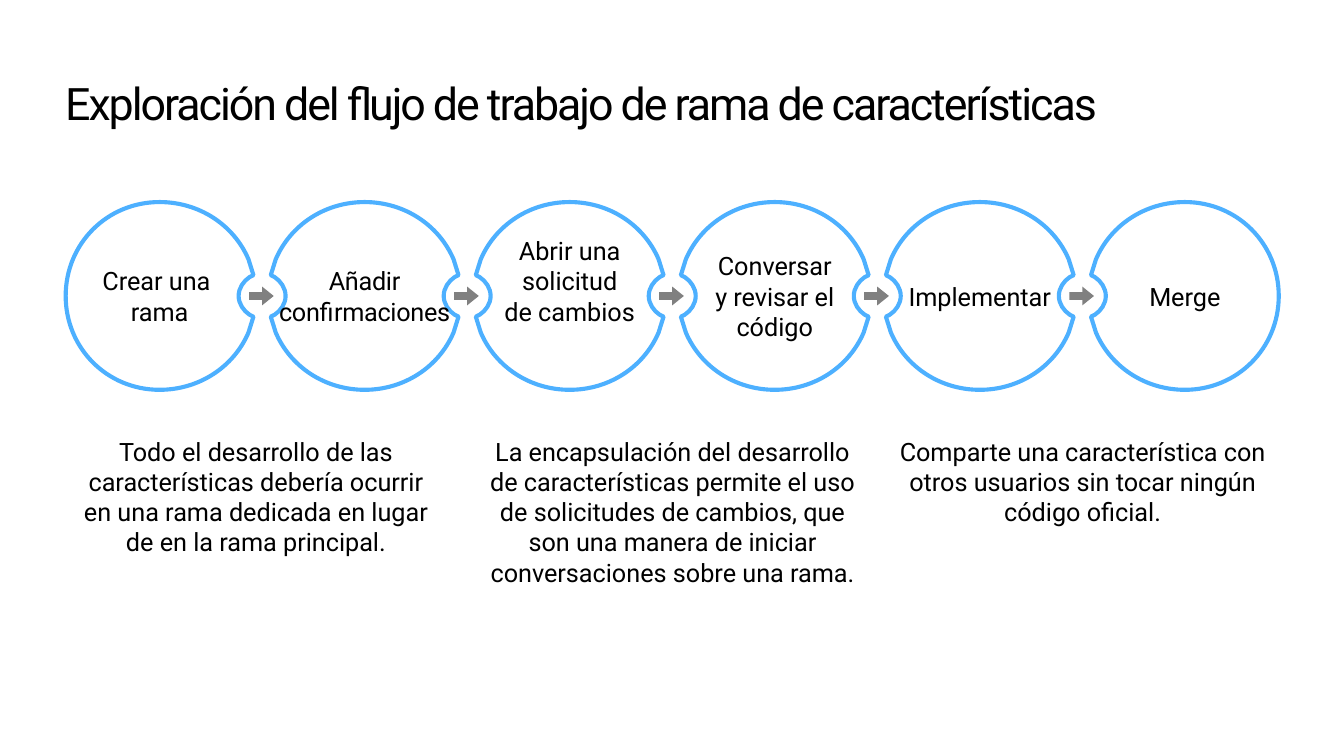
from dataclasses import dataclass

from lxml.etree import Element
from pptx import Presentation
from pptx.dml.color import RGBColor
from pptx.enum.shapes import MSO_SHAPE
from pptx.enum.text import MSO_ANCHOR, PP_ALIGN
from pptx.oxml.ns import qn
from pptx.shapes.autoshape import Shape
from pptx.shapes.base import BaseShape
from pptx.slide import Slide
from pptx.util import Inches, Pt

Point = tuple[float, float]


@dataclass(frozen=True)
class Theme:
    font: str = "Roboto"
    ink: RGBColor = RGBColor(0x00, 0x00, 0x00)
    ring: RGBColor = RGBColor(0x4D, 0xB0, 0xFF)
    arrow: RGBColor = RGBColor(0x80, 0x80, 0x80)
    title_size: float = 32.6
    body_size: float = 18.4
    ring_width: float = 3


@dataclass(frozen=True)
class Quarter:
    points: list[Point]
    sizes: list[int]


@dataclass(frozen=True)
class Step:
    label: str
    tracking: int = 0
    bottom_inset: float = 0


@dataclass(frozen=True)
class Caption:
    left: float
    width: float
    text: str


THEME = Theme()
FIRST_CENTER, PITCH, MIDDLE = 1.615, 2.075, 2.995
ARROW_WIDTH, ARROW_HEIGHT, ARROW_OFFSET = 0.25, 0.19, 1.03

ROUND = Quarter([(0, -0.95), (0.53, -0.95), (0.95, -0.53), (0.95, 0)], [3])
NOTCHED = Quarter(
    [(0, -0.95), (0.4, -0.95), (0.75, -0.72), (0.9, -0.37), (0.95, -0.21),
     (0.91, -0.19), (0.85, -0.15), (0.8, -0.08), (0.8, 0)],
    [3, 1, 1, 3])

STEPS = [
    Step("Crear una \vrama"),
    Step("Añadir\vconfirmaciones", tracking=-20),
    Step("Abrir una solicitud\vde cambios", bottom_inset=0.31),
    Step("Conversar\vy revisar el código"),
    Step("Implementar"),
    Step("Merge"),
]

CAPTIONS = [
    Caption(0.75, 3.68, "Todo el desarrollo de las características debería ocurrir "
            "en una rama dedicada en lugar de en la rama principal."),
    Caption(4.91, 3.79, "La encapsulación del desarrollo de características permite el uso "
            "de solicitudes de cambios, que son una manera de iniciar conversaciones sobre una rama."),
    Caption(9.06, 3.79, "Comparte una característica con otros usuarios sin tocar ningún código oficial."),
]


def ring_points(left: Quarter, right: Quarter) -> list[Point]:
    return [
        *right.points,
        *[(x, -y) for x, y in right.points[-2::-1]],
        *[(-x, -y) for x, y in left.points[1:]],
        *[(-x, y) for x, y in left.points[-2::-1]],
    ]


def draw_ring(page: Slide, center: float, left: Quarter, right: Quarter) -> Shape:
    start, *rest = [(Inches(center + x), Inches(MIDDLE + y)) for x, y in ring_points(left, right)]
    remaining = iter(rest)
    segments = [[next(remaining) for _ in range(size)] for size in right.sizes * 2 + left.sizes * 2]
    builder = page.shapes.build_freeform(*start)
    builder.add_line_segments([segment[-1] for segment in segments], close=True)
    ring = builder.convert_to_shape()
    for line, segment in zip(list(ring.element.iter(qn("a:lnTo"))), segments):
        if len(segment) == 3:
            line.tag = qn("a:cubicBezTo")
            for place, (x, y) in enumerate(segment[:-1]):
                line.insert(place, Element(qn("a:pt"), x=str(x - ring.left), y=str(y - ring.top)))
    return ring


def write(shape: BaseShape, text: str, size: float, align: PP_ALIGN,
          tracking: int = 0, line_spacing: float = 1.0, **frame_values) -> None:
    frame = shape.text_frame
    margins = dict.fromkeys(("margin_left", "margin_top", "margin_right", "margin_bottom"), 0)
    for name, value in {"word_wrap": True, **margins, **frame_values}.items():
        setattr(frame, name, value)
    para = frame.paragraphs[0]
    for name, value in {"text": text, "alignment": align, "line_spacing": line_spacing}.items():
        setattr(para, name, value)
    for span in para.runs:
        for name, value in {"name": THEME.font, "size": Pt(size)}.items():
            setattr(span.font, name, value)
        span.font.color.rgb = THEME.ink
        if tracking:
            span.font._element.set("spc", str(tracking))


def add_step(page: Slide, step: Step, index: int) -> None:
    last = len(STEPS) - 1
    center = FIRST_CENTER + index * PITCH
    ring = draw_ring(page, center, NOTCHED if index > 0 else ROUND, NOTCHED if index < last else ROUND)
    ring.shadow.inherit = False
    ring.fill.background()
    ring.line.color.rgb = THEME.ring
    ring.line.width = Pt(THEME.ring_width)
    write(ring, step.label, THEME.body_size, PP_ALIGN.CENTER, step.tracking,
          vertical_anchor=MSO_ANCHOR.MIDDLE, margin_bottom=Inches(step.bottom_inset))
    if index < last:
        add_arrow(page, center + ARROW_OFFSET)


def add_arrow(page: Slide, center: float) -> None:
    arrow = page.shapes.add_shape(
        MSO_SHAPE.RIGHT_ARROW, Inches(center - ARROW_WIDTH / 2), Inches(MIDDLE - ARROW_HEIGHT / 2),
        Inches(ARROW_WIDTH), Inches(ARROW_HEIGHT))
    arrow.adjustments[0], arrow.adjustments[1] = 0.42, 0.62
    arrow.shadow.inherit = False
    arrow.fill.solid()
    arrow.fill.fore_color.rgb = THEME.arrow
    arrow.line.fill.background()


def add_caption(page: Slide, caption: Caption) -> None:
    box = page.shapes.add_textbox(Inches(caption.left), Inches(4.41), Inches(caption.width), Inches(1.02))
    write(box, caption.text, THEME.body_size, PP_ALIGN.CENTER)


def main() -> None:
    deck = Presentation()
    deck.slide_width, deck.slide_height = Inches(13.6), Inches(7.65)
    page = deck.slides.add_slide(deck.slide_layouts[6])
    title = page.shapes.add_textbox(Inches(0.66), Inches(0.65), Inches(12.28), Inches(0.55))
    write(title, "Exploración del flujo de trabajo de rama de características", THEME.title_size,
          PP_ALIGN.LEFT, tracking=-150, line_spacing=0.9, margin_top=Inches(0.18))
    for index, step in enumerate(STEPS):
        add_step(page, step, index)
    for caption in CAPTIONS:
        add_caption(page, caption)
    deck.save("out.pptx")


if __name__ == "__main__":
    main()
